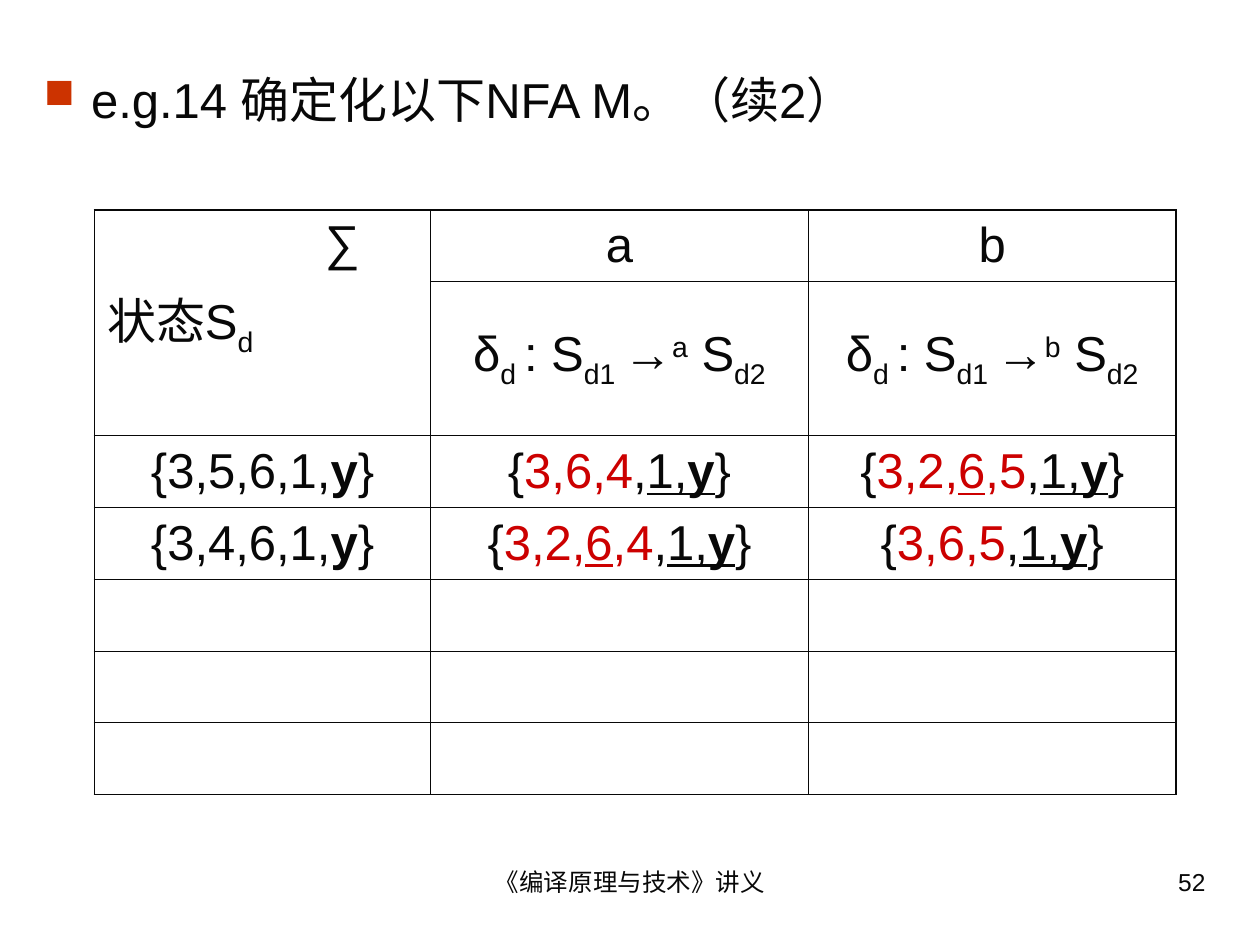
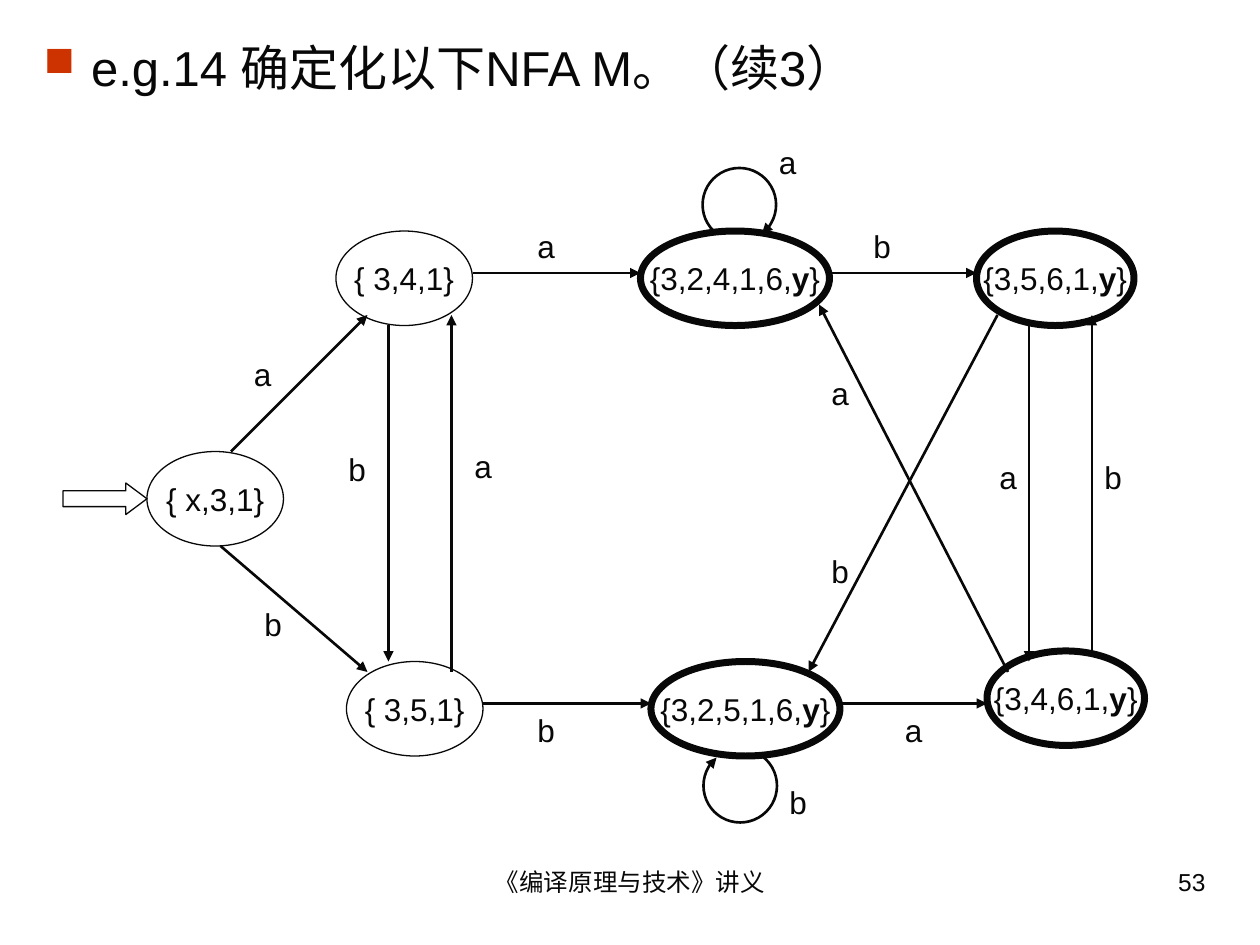
from lxml import etree
from pptx import Presentation
from pptx.dml.color import RGBColor
from pptx.enum.shapes import MSO_CONNECTOR, MSO_SHAPE
from pptx.enum.text import MSO_ANCHOR, PP_ALIGN
from pptx.oxml.ns import qn
from pptx.util import Pt

LEFT, CENTER, RIGHT = PP_ALIGN.LEFT, PP_ALIGN.CENTER, PP_ALIGN.RIGHT
TOP, MIDDLE = MSO_ANCHOR.TOP, MSO_ANCHOR.MIDDLE
ELLIPSE, ARC, BLOCK_ARROW = MSO_SHAPE.OVAL, MSO_SHAPE.ARC, MSO_SHAPE.RIGHT_ARROW
STRAIGHT = MSO_CONNECTOR.STRAIGHT

INK = RGBColor(0x08, 0x08, 0x08)
RED = RGBColor(0xCC, 0x00, 0x00)
BULLET = RGBColor(0xCC, 0x33, 0x00)
FONT = "Arial"
BODY_SIZE, LABEL_SIZE, FOOTER_SIZE = 28, 18, 14
THIN, THICK = 0.45, 1.08

# Run formats
NEW = {"color": RED}
NEW_KEPT = {"color": RED, "underline": True}
KEPT = {"underline": True}
FINAL = {"bold": True}
FINAL_KEPT = {"bold": True, "underline": True}
SUB, SUPER = {"baseline": -25}, {"baseline": 30}


# Text
def write(paragraph, text, size=BODY_SIZE, align=LEFT, space_before=0):
    """Write a string, or a list of strings and (string, format) pairs."""
    paragraph.alignment = align
    if space_before:
        paragraph.space_before = Pt(space_before)
    for part in [text] if isinstance(text, str) else text:
        words, style = (part, {}) if isinstance(part, str) else part
        run = paragraph.add_run()
        run.text = words
        run.font.name = FONT
        run.font.size = Pt(size)
        run.font.bold = style.get("bold", False)
        run.font.underline = style.get("underline", False)
        run.font.color.rgb = style.get("color", INK)
        if "baseline" in style:
            run.font._element.set("baseline", str(style["baseline"] * 1000))


def add_text(slide, text, left, top, width, height, **text_format):
    frame = slide.shapes.add_textbox(Pt(left), Pt(top), Pt(width), Pt(height)).text_frame
    frame.word_wrap = True
    write(frame.paragraphs[0], text, **text_format)
    return frame.paragraphs[0]


def indent(paragraph, margin, first_line=0):
    properties = paragraph._p.get_or_add_pPr()
    properties.set("marL", str(Pt(margin)))
    properties.set("indent", str(Pt(first_line)))
    return properties


def add_page(deck, title, title_top, number):
    slide = deck.slides.add_slide(deck.slide_layouts[6])
    heading = add_text(slide, title, 18, title_top, 546, 50)
    properties = indent(heading, 27, -27)
    color = etree.SubElement(properties, qn("a:buClr"))
    etree.SubElement(color, qn("a:srgbClr"), val=str(BULLET))
    etree.SubElement(properties, qn("a:buSzPct"), val="85000")
    etree.SubElement(properties, qn("a:buChar"), char="■")
    add_text(slide, "《编译原理与技术》讲义", 246, 492, 228, 37, size=FOOTER_SIZE, align=CENTER)
    add_text(slide, str(number), 516, 492, 180, 37, size=FOOTER_SIZE, align=RIGHT)
    return slide


# Transition table
def draw_borders(cell, widths):
    properties = cell._tc.get_or_add_tcPr()
    for side, width in zip("LRTB", widths):
        line = etree.SubElement(properties, qn("a:ln" + side), w=str(Pt(width)))
        fill = etree.SubElement(line, qn("a:solidFill"))
        etree.SubElement(fill, qn("a:srgbClr"), val=str(INK))


def add_grid(slide, left, top, widths, heights):
    grid = slide.shapes.add_table(
        len(heights), len(widths), Pt(left), Pt(top), Pt(sum(widths)), Pt(sum(heights))
    ).table
    grid.first_row = grid.horz_banding = False
    for column, width in zip(grid.columns, widths):
        column.width = Pt(width)
    for row, height in zip(grid.rows, heights):
        row.height = Pt(height)
    last_row, last_column = len(heights) - 1, len(widths) - 1
    for r in range(len(heights)):
        for c in range(len(widths)):
            cell = grid.cell(r, c)
            outer = (c == 0, c == last_column, r == 0, r == last_row)
            draw_borders(cell, [THICK if edge else THIN for edge in outer])
            cell.fill.background()
            cell.vertical_anchor = MIDDLE
    return grid


def move_rule(symbol):
    return ["δ", ("d ", SUB), ": S", ("d1 ", SUB), "→", (symbol, SUPER), " S", ("d2", SUB)]


def state(members):
    return ["{" + members + ",", ("y", FINAL), "}"]


def closure(*new_members):
    return ["{", *new_members, ",", ("1,", KEPT), ("y", FINAL_KEPT), "}"]


def add_transition_table(slide):
    grid = add_grid(slide, 54, 120, (192, 216, 210), (41, 88, 41, 41, 41, 41, 41))
    corner = grid.cell(0, 0)
    corner.merge(grid.cell(1, 0))
    corner.vertical_anchor = TOP
    sigma = corner.text_frame.paragraphs[0]
    write(sigma, "∑")
    indent(sigma, 124.5)
    write(corner.text_frame.add_paragraph(), ["状态S", ("d", SUB)], space_before=7)
    rows = [
        [None, "a", "b"],
        [None, move_rule("a"), move_rule("b")],
        [state("3,5,6,1"), closure(("3,6,4", NEW)),
         closure(("3,2,", NEW), ("6", NEW_KEPT), (",5", NEW))],
        [state("3,4,6,1"), closure(("3,2,", NEW), ("6", NEW_KEPT), (",4", NEW)),
         closure(("3,6,5", NEW))],
    ]
    for r, row in enumerate(rows):
        for c, content in enumerate(row):
            if content:
                write(grid.cell(r, c).text_frame.paragraphs[0], content, align=CENTER)


# State diagram
def add_outline(slide, kind, left, top, width, height, weight):
    outline = slide.shapes.add_shape(kind, Pt(left), Pt(top), Pt(width), Pt(height))
    outline.shadow.inherit = False
    outline.fill.background()
    outline.line.color.rgb = INK
    outline.line.width = Pt(weight)
    return outline


def add_state(slide, text, left, top, width, weight):
    frame = add_outline(slide, ELLIPSE, left, top, width, 54, weight).text_frame
    frame.word_wrap = False
    frame.vertical_anchor = MIDDLE
    write(frame.paragraphs[0], text, size=LABEL_SIZE, align=CENTER)


def point_end(line):
    etree.SubElement(line._get_or_add_ln(), qn("a:tailEnd"), type="triangle")


def add_move(slide, x1, y1, x2, y2):
    move = slide.shapes.add_connector(STRAIGHT, Pt(x1), Pt(y1), Pt(x2), Pt(y2))
    move.line.color.rgb = INK
    move.line.width = Pt(1.5)
    point_end(move.line)
    etree.SubElement(move._element.spPr, qn("a:effectLst"))


def add_loop(slide, center_x, center_y, start, end, radius=21):
    """Clockwise arc between two angles in degrees."""
    loop = add_outline(slide, ARC, center_x - radius, center_y - radius,
                       2 * radius, 2 * radius, 1.5)
    for i, angle in enumerate((start, end)):
        loop.adjustments[i] = angle * 0.6
    point_end(loop.line)


def add_diagram(slide):
    # States: text, left, top, width
    for text, left, top in [("{ x,3,1}", 84, 258), ("{ 3,4,1}", 192, 132), ("{ 3,5,1}", 198, 378)]:
        add_state(slide, text, left, top, 78, 0.75)
    for members, left, top, width in [
        ("3,2,4,1,6", 366, 132, 108), ("3,2,5,1,6", 372, 378, 108),
        ("3,5,6,1", 558, 132, 90), ("3,4,6,1", 564, 372, 90),
    ]:
        add_state(slide, state(members), left, top, width, 4)

    # Start arrow
    start = add_outline(slide, BLOCK_ARROW, 36, 276, 48, 18, 0.75)
    start.adjustments[0], start.adjustments[1] = 0.5, 0.67

    # Moves: from, to, then label and its place
    moves = [
        (132, 258, 210, 180, "a", 138, 199.5), (126, 312, 210, 384, "b", 144, 342),
        (270, 156, 366, 156, "a", 300, 126), (474, 156, 558, 156, "b", 492, 126),
        (276, 402, 372, 402, "b", 300, 403), (480, 402, 564, 402, "a", 510, 403),
        (222, 186, 222, 378, "b", 192, 253.5), (258, 384, 258, 180, "a", 264, 252),
        (588, 186, 588, 378, "a", 564, 258), (624, 372, 624, 180, "b", 624, 258),
        (570, 180, 462, 384, "b", 468, 312), (576, 384, 468, 174, "a", 468, 210),
    ]
    # Loops: centre, angles, then label and its place
    loops = [
        (422.5, 117, 134, 52, "a", 438, 78),
        (423, 449, 308, 230, "b", 444, 444),
    ]
    for draw, edges in ((add_move, moves), (add_loop, loops)):
        for *geometry, symbol, left, top in edges:
            draw(slide, *geometry)
            add_text(slide, symbol, left, top, 48, 29, size=LABEL_SIZE)


def main():
    deck = Presentation()
    deck.slide_width, deck.slide_height = Pt(720), Pt(540)
    add_transition_table(add_page(deck, "e.g.14 确定化以下NFA M。（续2）", 36, 52))
    add_diagram(add_page(deck, "e.g.14 确定化以下NFA M。（续3）", 18, 53))
    deck.save("out.pptx")


if __name__ == "__main__":
    main()
